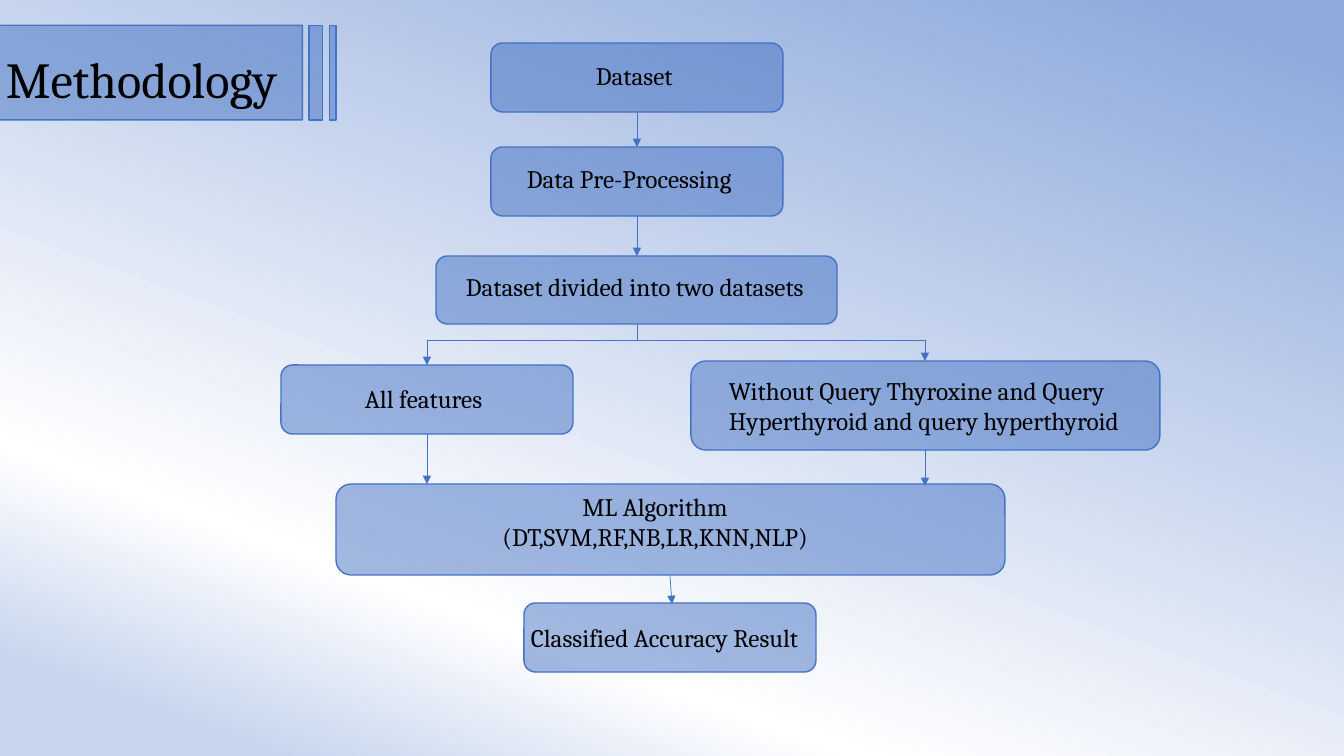
"""Builds the methodology flowchart slide."""
from copy import deepcopy
from dataclasses import dataclass

from lxml.etree import SubElement
from pptx import Presentation
from pptx.dml.color import RGBColor
from pptx.enum.shapes import MSO_CONNECTOR, MSO_SHAPE
from pptx.enum.text import MSO_AUTO_SIZE, PP_ALIGN
from pptx.oxml.ns import qn
from pptx.shapes.autoshape import Shape
from pptx.slide import Slide
from pptx.util import Emu, Pt

EMU_PER_PX = 12192000 / 1344
BLUE = RGBColor(0x44, 0x72, 0xC4)
BLACK = RGBColor(0x00, 0x00, 0x00)
BACKDROP = [
    (0.08, RGBColor(0xC7, 0xD5, 0xEE)),
    (0.25, RGBColor(0xFF, 0xFF, 0xFF)),
    (0.95, RGBColor(0x8F, 0xAA, 0xDC)),
]


@dataclass(frozen=True)
class Box:
    left: int
    top: int
    width: int
    height: int


@dataclass(frozen=True)
class Label:
    text: str
    box: Box
    size: int = 18
    wrap: bool = False
    align: PP_ALIGN = PP_ALIGN.LEFT


@dataclass(frozen=True)
class Link:
    x1: int
    y1: int
    x2: int
    y2: int
    arrow: bool = True


BANNER = Box(-131, -35, 467, 215)
STEPS = [
    Box(691, 361, 469, 89),
    Box(281, 365, 292, 69),
    Box(436, 256, 401, 68),
    Box(491, 147, 292, 69),
    Box(491, 43, 292, 69),
    Box(336, 484, 669, 91),
    Box(524, 603, 292, 69),
]
LABELS = [
    Label("Methodology", Box(-4, 43, 305, 72), size=36),
    Label("Dataset", Box(586, 55, 103, 40)),
    Label("Data Pre-Processing", Box(517, 158, 239, 40)),
    Label("Dataset divided into two datasets", Box(456, 266, 382, 40)),
    Label("All features", Box(355, 378, 144, 40)),
    Label("Without Query Thyroxine and Query Hyperthyroid and query hyperthyroid",
          Box(719, 370, 453, 72), wrap=True),
    Label("ML Algorithm\n(DT,SVM,RF,NB,LR,KNN,NLP)",
          Box(462, 486, 386, 72), wrap=True, align=PP_ALIGN.CENTER),
    Label("Classified Accuracy Result", Box(521, 617, 302, 40)),
]
LINKS = [
    Link(637, 113, 637, 147),
    Link(637, 216, 637, 256),
    Link(427, 340, 925, 340, arrow=False),
    Link(637, 324, 637, 340, arrow=False),
    Link(427, 340, 427, 365),
    Link(925, 340, 925, 361),
    Link(427, 434, 427, 484),
    Link(925, 450, 925, 486),
    Link(670, 575, 672, 604),
]


def px(length: int) -> Emu:
    return Emu(round(length * EMU_PER_PX))


def place(box: Box) -> tuple[Emu, Emu, Emu, Emu]:
    return px(box.left), px(box.top), px(box.width), px(box.height)


def paint_background(slide: Slide) -> None:
    fill = slide.background.fill
    fill.gradient()
    fill.gradient_angle = 70
    stop_list = next(slide.element.iter(qn("a:gsLst")))
    stop_list.append(deepcopy(stop_list[0]))
    for stop, (position, color) in zip(fill.gradient_stops, BACKDROP):
        stop.position = position
        stop.color.rgb = color


def draw_panel(slide: Slide, kind: MSO_SHAPE, box: Box) -> Shape:
    panel = slide.shapes.add_shape(kind, *place(box))
    panel.shadow.inherit = False
    panel.fill.solid()
    panel.fill.fore_color.rgb = BLUE
    fill_color = panel.element.spPr.find(qn("a:solidFill")).find(qn("a:srgbClr"))
    SubElement(fill_color, qn("a:alpha"), val="50000")
    panel.line.color.rgb = BLUE
    panel.line.width = Pt(1)
    return panel


def draw_label(slide: Slide, label: Label) -> None:
    frame = slide.shapes.add_textbox(*place(label.box)).text_frame
    frame.text = label.text
    frame.word_wrap = label.wrap
    frame.auto_size = MSO_AUTO_SIZE.SHAPE_TO_FIT_TEXT
    for paragraph in frame.paragraphs:
        paragraph.alignment = label.align
        for run in paragraph.runs:
            run.font.name = "Cambria"
            run.font.size = Pt(label.size)
            run.font.color.rgb = BLACK


def draw_link(slide: Slide, link: Link) -> None:
    connector = slide.shapes.add_connector(
        MSO_CONNECTOR.STRAIGHT, px(link.x1), px(link.y1), px(link.x2), px(link.y2))
    connector.line.color.rgb = BLUE
    connector.line.width = Pt(0.5)
    properties = connector.element.spPr
    if link.arrow:
        SubElement(properties.find(qn("a:ln")), qn("a:tailEnd"), type="triangle")
    SubElement(properties, qn("a:effectLst"))


def main() -> None:
    deck = Presentation()
    deck.slide_width, deck.slide_height = px(1344), px(756)
    slide = deck.slides.add_slide(deck.slide_layouts[6])
    paint_background(slide)
    banner = draw_panel(slide, MSO_SHAPE.STRIPED_RIGHT_ARROW, BANNER)
    banner.rotation = 180
    banner.adjustments[0] = 0.44
    for step in STEPS:
        draw_panel(slide, MSO_SHAPE.ROUNDED_RECTANGLE, step)
    for label in LABELS:
        draw_label(slide, label)
    for link in LINKS:
        draw_link(slide, link)
    deck.save("out.pptx")


if __name__ == "__main__":
    main()
